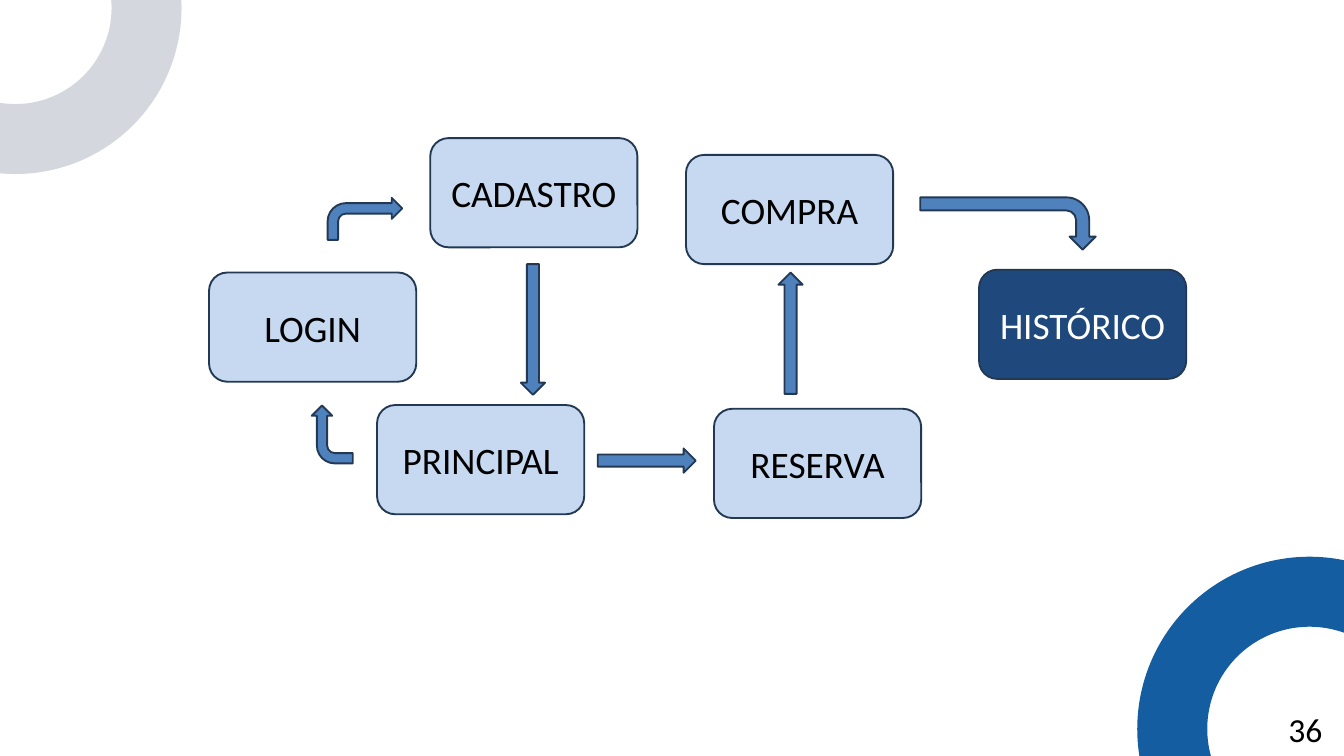
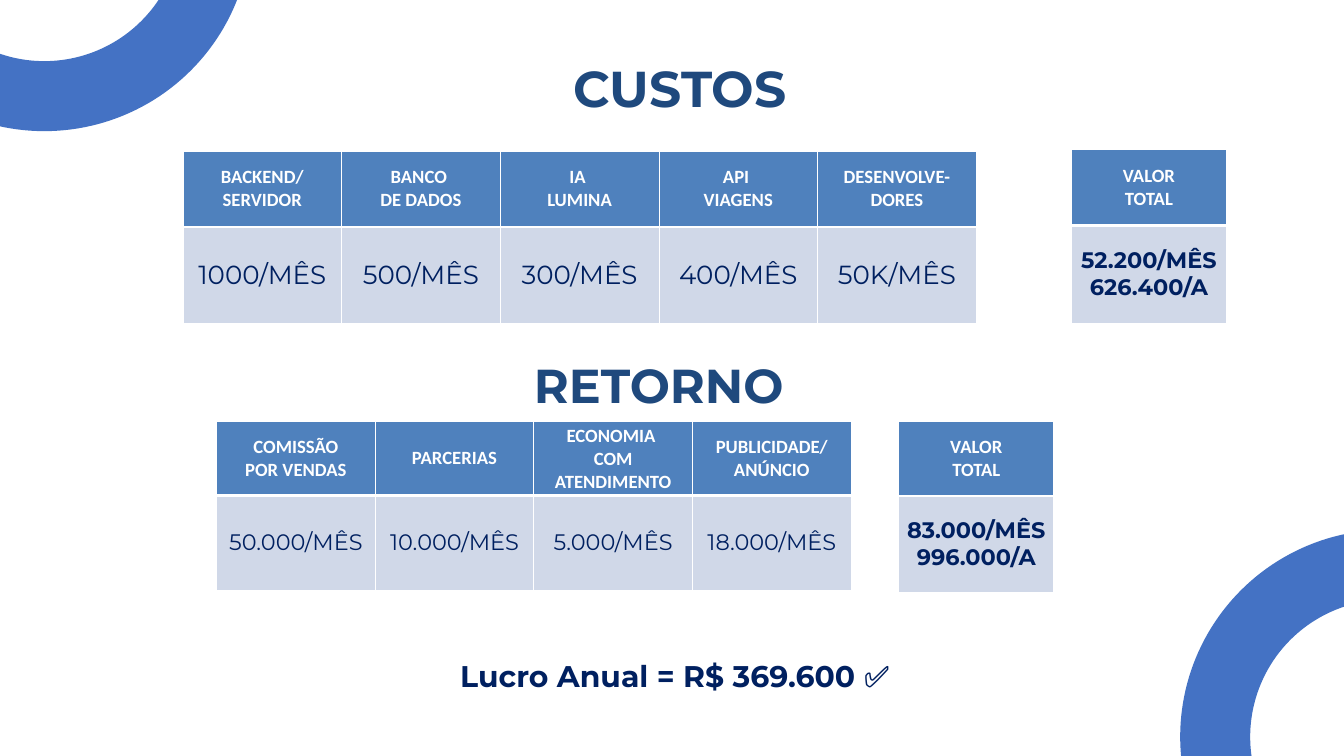
from lxml.etree import SubElement
from pptx import Presentation
from pptx.dml.color import RGBColor
from pptx.enum.shapes import MSO_SHAPE
from pptx.enum.text import MSO_ANCHOR, PP_ALIGN
from pptx.oxml.ns import qn
from pptx.util import Pt

SANS, MONT = "Calibri", "Montserrat"
BLACK, WHITE, EDGE = "000000", "FFFFFF", "233953"
PALE, MID, DARK = "C6D9F1", "4F81BD", "1F497D"
NAVY, GREY, RING = "002060", "D0D8E8", "4472C4"
BOX_W, BOX_H = 222, 117
COL_W, TOTAL_W = 170, 166
BENT, DOWN = MSO_SHAPE.BENT_ARROW, MSO_SHAPE.DOWN_ARROW


def paint(color, value):
    """Set a colour format from a hex string."""
    color.rgb = RGBColor.from_string(value)


def style(frame, size, font, color, bold=False, align=PP_ALIGN.CENTER):
    """Format every paragraph and run of a text frame."""
    for para in frame.paragraphs:
        para.alignment = align
        for run in para.runs:
            run.font.size, run.font.name, run.font.bold = Pt(size), font, bold
            paint(run.font.color, color)


def add_form(slide, kind, place, fill, edge=EDGE, weight=2):
    """Add a flat preset shape; without a fill only its line is drawn."""
    form = slide.shapes.add_shape(kind, *map(Pt, place))
    form.shadow.inherit = False
    if fill:
        form.fill.solid()
        paint(form.fill.fore_color, fill)
    else:
        form.fill.background()
    paint(form.line.color, edge)
    form.line.width = Pt(weight)
    return form


def add_ring(slide, left, top, size, color, alpha=None):
    """Add a thick corner ring, optionally see-through."""
    ring = add_form(slide, MSO_SHAPE.OVAL, (left, top, size, size), None, color, 75)
    if alpha:
        tint = ring.line.fill._xPr.find(".//" + qn("a:srgbClr"))
        SubElement(tint, qn("a:alpha"), val=str(alpha * 1000))


def add_box(slide, label, left, top, fill=PALE, ink=BLACK):
    """Add one screen of the flow as a rounded box."""
    box = add_form(slide, MSO_SHAPE.ROUNDED_RECTANGLE, (left, top, BOX_W, BOX_H), fill)
    box.text_frame.text = label
    box.text_frame.vertical_anchor = MSO_ANCHOR.MIDDLE
    style(box.text_frame, 40, SANS, ink)


def add_arrow(slide, kind, turn, *place):
    """Add a block arrow turned by some degrees."""
    add_form(slide, kind, place, MID).rotation = turn


def add_text(slide, text, *place):
    """Add a wrapping text box and return its frame."""
    frame = slide.shapes.add_textbox(*map(Pt, place)).text_frame
    frame.word_wrap = True
    frame.text = text
    return frame


def add_title(slide, text, left, top, size):
    """Add a bold centred section title."""
    frame = add_text(slide, text, left, top, 868, 68)
    frame.margin_left = frame.margin_right = frame.margin_top = frame.margin_bottom = 0
    style(frame, size, MONT, DARK, True)
    frame.paragraphs[0].line_spacing = Pt(71.5)


def fill_cell(cell, text, fill, base, *look):
    """Fill a cell with centred text, a colour and white borders."""
    cell.text = text
    cell.vertical_anchor = MSO_ANCHOR.MIDDLE
    style(cell.text_frame, *look)
    props = cell._tc.get_or_add_tcPr()
    for side, width in zip("LRTB", (1, 1, 1, base)):
        line = SubElement(props, qn(f"a:ln{side}"), w=str(Pt(width)))
        SubElement(SubElement(line, qn("a:solidFill")), qn("a:srgbClr"), val=WHITE)
    cell.fill.solid()
    paint(cell.fill.fore_color, fill)


def add_grid(slide, left, top, width, heights, items, size, bold=False):
    """Add a table with a head row and a value row."""
    count = len(items)
    place = map(Pt, (left, top, width * count, sum(heights)))
    table = slide.shapes.add_table(2, count, *place).table
    table.horz_banding = False
    for row, height in zip(table.rows, heights):
        row.height = Pt(height)
    for col, (head, value) in enumerate(items):
        table.columns[col].width = Pt(width)
        fill_cell(table.cell(0, col), head, MID, 3, 20, SANS, WHITE, True)
        fill_cell(table.cell(1, col), value, GREY, 1, size, MONT, NAVY, bold)


def draw_flow(slide):
    """Draw the slide with the flow between screens."""
    add_ring(slide, 1256, 634, 294, "145DA0")
    add_ring(slide, -124, -132, 281, "051D40", 16)
    page = add_text(slide, "36", 1256, 767, 168, 29)
    page.vertical_anchor = MSO_ANCHOR.MIDDLE
    style(page, 36, SANS, BLACK, align=PP_ALIGN.RIGHT)
    add_box(slide, "PRINCIPAL", 404, 434)
    add_box(slide, "LOGIN", 224, 292)
    add_box(slide, "CADASTRO", 461, 148)
    add_box(slide, "RESERVA", 765, 438)
    add_box(slide, "COMPRA", 735, 166)
    add_box(slide, "HISTÓRICO", 1049, 289, DARK, WHITE)
    add_arrow(slide, BENT, 270, 325, 443.5, 62, 44)
    add_arrow(slide, BENT, 0, 351, 212, 80, 45)
    add_arrow(slide, DOWN, 0, 558, 283, 26, 140)
    add_arrow(slide, DOWN, 270, 680, 441, 26, 105)
    add_arrow(slide, DOWN, 180, 834, 292, 26, 130)
    add_arrow(slide, BENT, 90, 1052, 145.5, 56, 188)


def draw_costs(slide):
    """Draw the slide with costs, returns and profit."""
    add_ring(slide, -137, -266, 369, RING)
    add_ring(slide, 1302, 605, 369, RING)
    add_title(slide, "CUSTOS ", 302, 55, 54)
    costs = [
        ("BACKEND/ SERVIDOR", "1000/MÊS"),
        ("BANCO \nDE DADOS", "500/MÊS"),
        ("IA \nLUMINA", "300/MÊS"),
        ("API \nVIAGENS", "400/MÊS"),
        ("DESENVOLVE-DORES", "50K/MÊS"),
    ]
    add_grid(slide, 196, 162, COL_W, (81, 104), costs, 28)
    total = [("VALOR\nTOTAL", "52.200/MÊS 626.400/A")]
    add_grid(slide, 1148, 160.5, TOTAL_W, (81, 104.5), total, 24, True)
    add_title(slide, "RETORNO ", 279, 371, 51)
    gains = [
        ("COMISSÃO\nPOR VENDAS", "50.000/MÊS"),
        ("PARCERIAS", "10.000/MÊS"),
        ("ECONOMIA \nCOM ATENDIMENTO", "5.000/MÊS"),
        ("PUBLICIDADE/ ANÚNCIO", "18.000/MÊS"),
    ]
    add_grid(slide, 232, 451.5, COL_W, (79, 101.5), gains, 24)
    total = [("VALOR\nTOTAL", "83.000/MÊS\n996.000/A")]
    add_grid(slide, 963, 451.5, TOTAL_W, (80, 103), total, 24, True)
    profit = add_text(slide, "Lucro Anual = R$ 369.600 ", 486, 701, 953, 75)
    profit.paragraphs[0].add_run().text = "✅"
    style(profit, 32, MONT, NAVY, True, PP_ALIGN.LEFT)
    profit.paragraphs[0].runs[1].font.bold = False


def main():
    """Build and save the two slides."""
    deck = Presentation()
    deck.slide_width, deck.slide_height = Pt(1440), Pt(810)
    for draw in (draw_flow, draw_costs):
        draw(deck.slides.add_slide(deck.slide_layouts[6]))
    deck.save("out.pptx")


if __name__ == "__main__":
    main()
